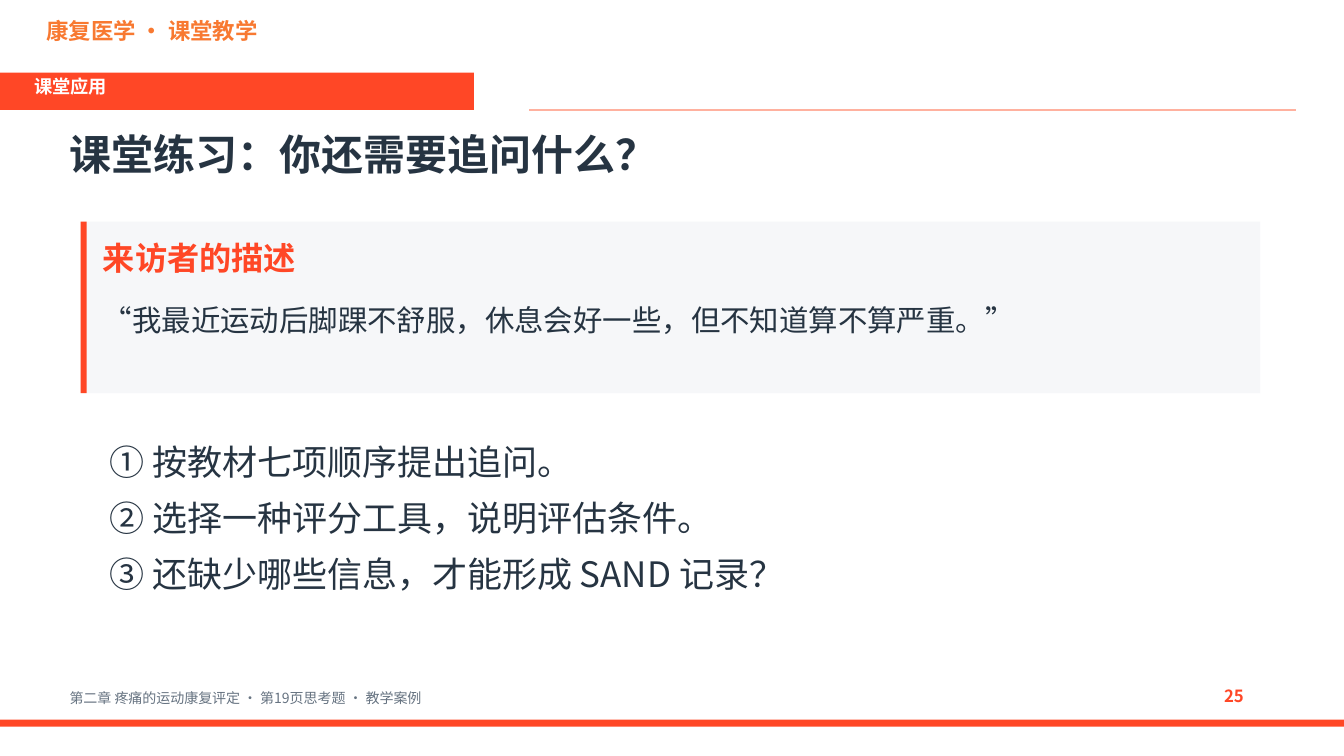
from pptx import Presentation
from pptx.dml.color import RGBColor
from pptx.enum.shapes import MSO_CONNECTOR, MSO_SHAPE
from pptx.enum.text import MSO_ANCHOR, MSO_AUTO_SIZE, PP_ALIGN
from pptx.oxml.ns import qn
from pptx.util import Emu, Pt

RECT = MSO_SHAPE.RECTANGLE
LINE = MSO_CONNECTOR.STRAIGHT
LEFT = PP_ALIGN.LEFT
TOP = MSO_ANCHOR.TOP
GROW = MSO_AUTO_SIZE.SHAPE_TO_FIT_TEXT
FONT = "Noto Sans CJK SC"
PX = 9144
HUES = {
    "red": "FF4726",
    "orange": "F87931",
    "pink": "FFB19F",
    "ink": "263442",
    "gray": "667381",
    "pale": "F6F7F9",
    "white": "FFFFFF",
}


def px(*nums):
    return [Emu(num * PX) for num in nums]


def hue(name):
    return RGBColor.from_string(HUES[name])


def style(frame, text, size, color, bold):
    frame.text = text
    frame.word_wrap = True
    frame.auto_size = GROW
    frame.vertical_anchor = TOP
    frame.margin_left, frame.margin_top, frame.margin_right, frame.margin_bottom = px(4, 2, 4, 0)
    for para in frame.paragraphs:
        para.alignment = LEFT
        para.space_after = Pt(10)
        for run in para.runs:
            font = run.font
            font.name = FONT
            font.size = Pt(size)
            font.bold = bold
            font.color.rgb = hue(color)
            east = run._r.get_or_add_rPr().makeelement(qn("a:ea"), {"typeface": FONT})
            font._element.find(qn("a:latin")).addnext(east)


def label(slide, box, text, size, color, bold=False):
    shape = slide.shapes.add_textbox(*px(*box))
    style(shape.text_frame, text, size, color, bold)


def title(slide, box, text, size, color):
    shape = slide.shapes.title
    shape.left, shape.top, shape.width, shape.height = px(*box)
    style(shape.text_frame, text, size, color, True)


def block(slide, box, color):
    shape = slide.shapes.add_shape(RECT, *px(*box))
    shape.shadow.inherit = False
    shape.fill.solid()
    shape.fill.fore_color.rgb = hue(color)
    shape.line.fill.background()


def rule(slide, ends, color):
    line = slide.shapes.add_connector(LINE, *px(*ends))
    line.line.color.rgb = hue(color)
    line.line.width = Pt(1)
    props = line._element.spPr
    props.append(props.makeelement(qn("a:effectLst"), {}))


def header(slide):
    label(slide, (42, 15, 350, 40), "康复医学 · 课堂教学", 16, "orange", True)
    block(slide, (0, 72, 470, 37), "red")
    label(slide, (30, 73, 420, 32), "课堂应用", 13, "white", True)
    title(slide, (65, 125, 1200, 65), "课堂练习：你还需要追问什么？", 30, "ink")
    rule(slide, (525, 109, 1285, 109), "pink")


def case(slide):
    block(slide, (80, 220, 1170, 170), "pale")
    block(slide, (80, 220, 6, 170), "red")
    label(slide, (98, 234, 1135, 45), "来访者的描述", 23, "red", True)
    quote = "“我最近运动后脚踝不舒服，休息会好一些，但不知道算不算严重。”"
    label(slide, (98, 298, 1135, 83), quote, 21, "ink")


def tasks(slide):
    lines = [
        "① 按教材七项顺序提出追问。",
        "② 选择一种评分工具，说明评估条件。",
        "③ 还缺少哪些信息，才能形成 SAND 记录？",
    ]
    label(slide, (105, 435, 1120, 180), "\n".join(lines), 25, "ink")


def footer(slide):
    block(slide, (0, 714, 1333, 7), "red")
    note = "第二章 疼痛的运动康复评定 · 第19页思考题 · 教学案例"
    label(slide, (65, 682, 1100, 23), note, 10, "gray")
    label(slide, (1210, 678, 60, 30), "25", 12, "red", True)


def main():
    deck = Presentation()
    deck.slide_width, deck.slide_height = px(1333, 750)
    slide = deck.slides.add_slide(deck.slide_layouts[5])
    slide.background.fill.solid()
    slide.background.fill.fore_color.rgb = hue("white")
    header(slide)
    case(slide)
    tasks(slide)
    footer(slide)
    deck.save("out.pptx")


if __name__ == "__main__":
    main()
